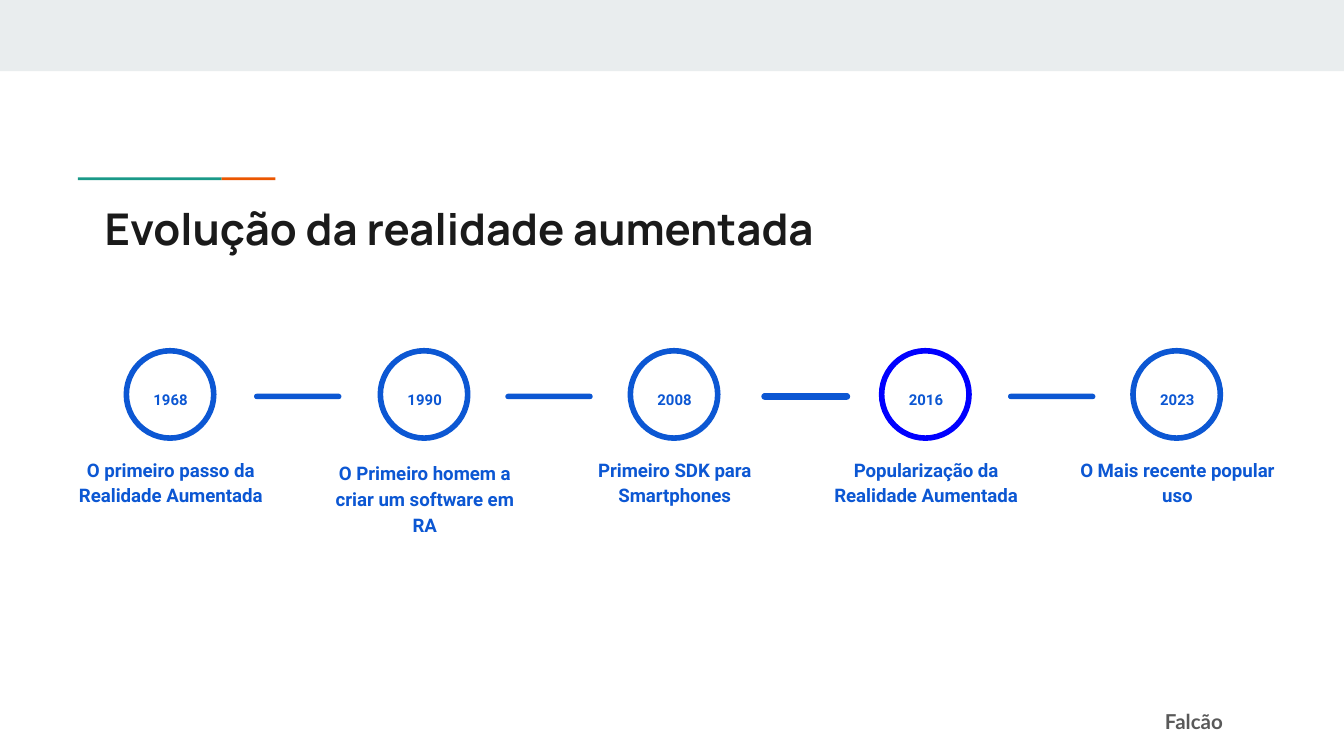
from pptx import Presentation
from pptx.dml.color import RGBColor
from pptx.enum.shapes import MSO_SHAPE as Shape
from pptx.enum.text import MSO_ANCHOR as Anchor, PP_ALIGN as Align
from pptx.util import Inches, Pt

BLUE = RGBColor(0x0C, 0x57, 0xD3)
PURE = RGBColor(0x00, 0x00, 0xFF)
GREY = RGBColor(0xE9, 0xED, 0xEE)
TEAL = RGBColor(0x1A, 0x99, 0x88)
ORANGE = RGBColor(0xEB, 0x56, 0x00)
INK = RGBColor(0x1A, 0x1A, 0x1A)
SLATE = RGBColor(0x59, 0x59, 0x59)

# Circle left, year, caption, caption top, circle colour
STEPS = [
    (0.94, "1968", "O primeiro passo da Realidade Aumentada", 3.38, BLUE),
    (2.83, "1990", "O Primeiro homem a criar um software em RA", 3.6, BLUE),
    (4.69, "2008", "Primeiro SDK para Smartphones", 3.38, BLUE),
    (6.56, "2016", "Popularização da Realidade Aumentada", 3.38, PURE),
    (8.43, "2023", "O Mais recente popular uso", 3.38, BLUE),
]
# Bar left, outline width
BARS = [(1.89, 0), (3.76, 0), (5.67, 0.75), (7.5, 0)]


class Painter:
    def __init__(self, slide):
        self.slide = slide

    def shape(self, kind, box, fill=None, line=None, width=0):
        item = self.slide.shapes.add_shape(kind, *map(Inches, box))
        item.shadow.inherit = False
        if fill is None:
            item.fill.background()
        else:
            item.fill.solid()
            item.fill.fore_color.rgb = fill
        if width:
            item.line.color.rgb = line
            item.line.width = Pt(width)
        else:
            item.line.fill.background()
        return item

    def bar(self, left, width):
        item = self.shape(Shape.ROUNDED_RECTANGLE, (left, 2.93, 0.65, 0.04),
                          BLUE, BLUE, width)
        item.adjustments[0] = 0.5

    def text(self, words, box, size, face, color, anchor=Anchor.TOP):
        frame = self.slide.shapes.add_textbox(*map(Inches, box)).text_frame
        frame.word_wrap = True
        frame.vertical_anchor = anchor
        frame.margin_left = frame.margin_right = Inches(0.1)
        frame.margin_top = frame.margin_bottom = Inches(0.1)
        frame.text = words
        para = frame.paragraphs[0]
        font = para.runs[0].font
        font.name, font.size, font.bold = face, Pt(size), True
        font.color.rgb = color
        return para

    def label(self, words, box, size, anchor=Anchor.TOP):
        """Add centred blue timeline text."""
        para = self.text(words, box, size, "Roboto", BLUE, anchor)
        para.alignment = Align.CENTER
        para.line_spacing = 1.15
        return para

    def step(self, left, year, words, top, color):
        self.shape(Shape.OVAL, (left, 2.61, 0.65, 0.65), None, color, 3)
        para = self.label(year, (left + 0.09, 2.81, 0.48, 0.35), 8)
        para.space_after = Pt(16)
        self.label(words, (left - 0.51, top, 1.68, 0.49), 10, Anchor.BOTTOM)


def main():
    deck = Presentation()
    deck.slide_width = Inches(10)
    deck.slide_height = deck.slide_width * 9 // 16
    page = Painter(deck.slides.add_slide(deck.slide_layouts[6]))

    page.shape(Shape.RECTANGLE, (0, 0, 10, 0.53), GREY)
    page.shape(Shape.RECTANGLE, (0.58, 1.32, 1.07, 0.02), TEAL)
    page.shape(Shape.RECTANGLE, (1.65, 1.32, 0.4, 0.02), ORANGE)
    page.text("Evolução da realidade aumentada", (0.68, 1.4, 8.41, 0.59),
              23.4, "Manrope", INK)
    page.text("Falcão", (8.57, 5.18, 1.43, 0.38), 11, "Lato", SLATE)

    for step in STEPS:
        page.step(*step)
    for bar in BARS:
        page.bar(*bar)
    deck.save("out.pptx")


if __name__ == "__main__":
    main()
